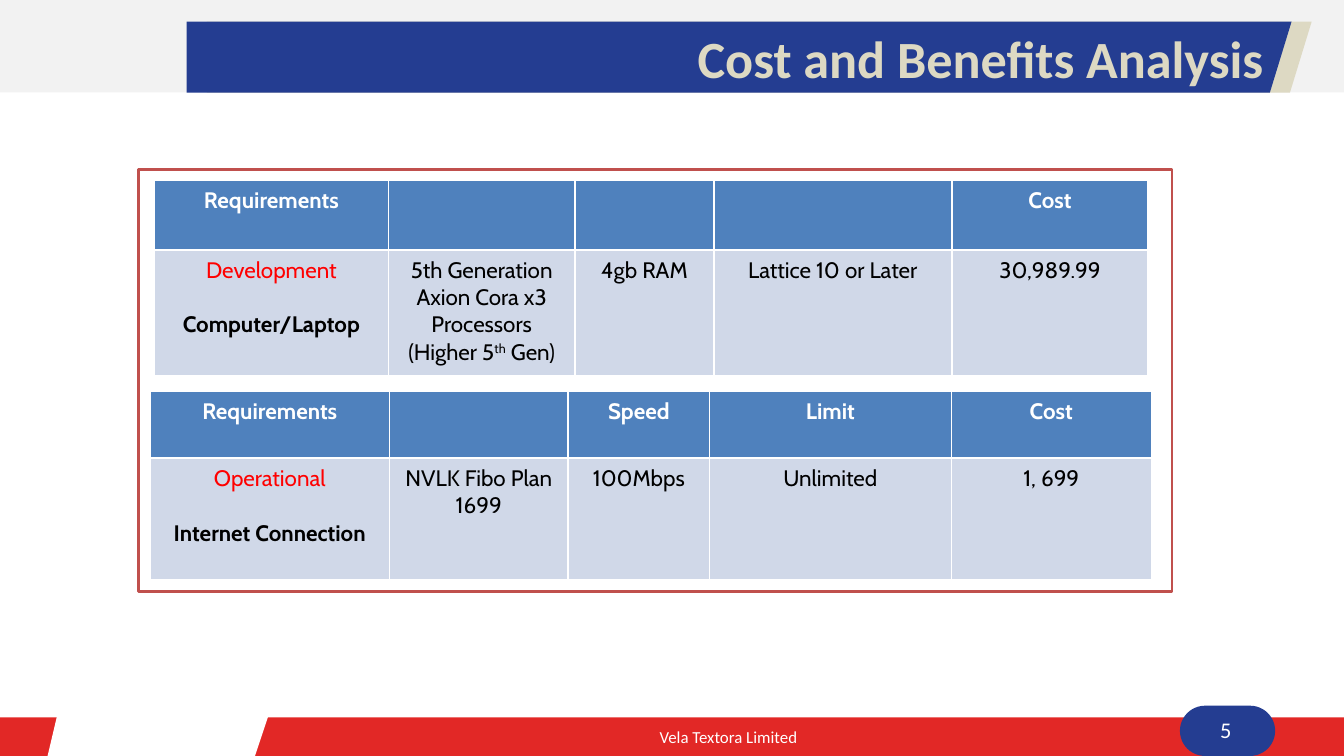
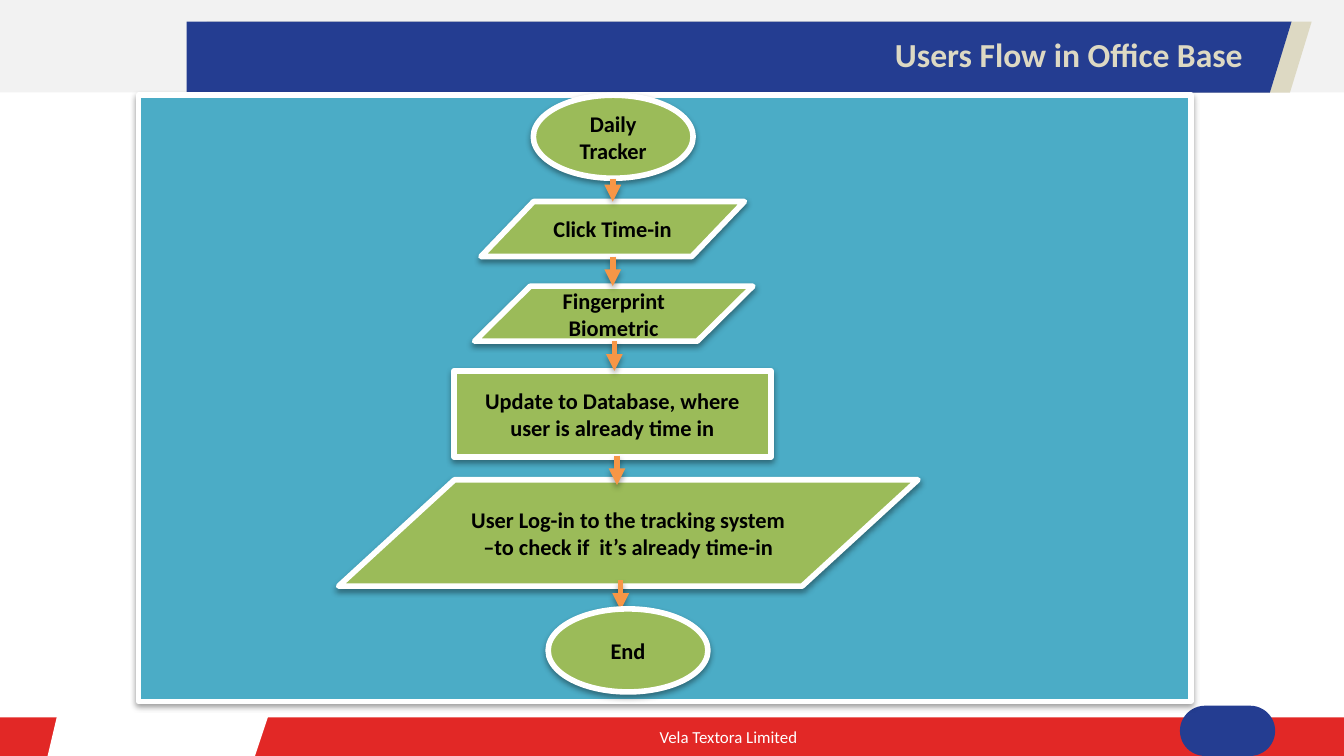
from dataclasses import dataclass

from lxml import etree
from pptx import Presentation
from pptx.dml.color import RGBColor
from pptx.enum.shapes import MSO_CONNECTOR, MSO_SHAPE
from pptx.enum.text import MSO_ANCHOR, MSO_AUTO_SIZE, PP_ALIGN
from pptx.oxml.ns import qn
from pptx.util import Cm, Pt

RECT, PILL = MSO_SHAPE.RECTANGLE, MSO_SHAPE.ROUNDED_RECTANGLE
OVAL, DATA = MSO_SHAPE.OVAL, MSO_SHAPE.FLOWCHART_DATA
STRAIGHT = MSO_CONNECTOR.STRAIGHT
LEFT, CENTER = PP_ALIGN.LEFT, PP_ALIGN.CENTER
TOP, MIDDLE = MSO_ANCHOR.TOP, MSO_ANCHOR.MIDDLE
NO_FIT = MSO_AUTO_SIZE.NONE
TITLE_ONLY = 5
SLIDE_WIDTH, SLIDE_HEIGHT = 25.4, 14.29


@dataclass(frozen=True)
class Theme:
    font: str = "Calibri"
    table_font: str = "Cabin"
    white: str = "FFFFFF"
    black: str = "000000"
    grey: str = "F2F2F2"
    beige: str = "DDD9C3"
    navy: str = "243D91"
    red: str = "E22826"
    frame_red: str = "C0504D"
    highlight: str = "FF0000"
    header_blue: str = "4F81BD"
    row_blue: str = "D0D8E8"
    teal: str = "4BACC6"
    green: str = "9BBB59"
    orange: str = "F79646"
    footer_size: float = 9
    body_size: float = 12
    subtitle_size: float = 18
    title_size: float = 28


THEME = Theme()


# Text
def write_text(frame, text, *, size=THEME.body_size, color=THEME.black, bold=False,
               font=THEME.font, align=CENTER, gap=0, new=False):
    """Write one paragraph; parts between ^ marks are superscript."""
    paragraph = frame.add_paragraph() if new else frame.paragraphs[0]
    paragraph.alignment = align
    paragraph.space_before = Pt(gap)
    for index, part in enumerate(text.split("^")):
        run = paragraph.add_run()
        run.text = part
        run.font.size, run.font.bold, run.font.name = Pt(size), bold, font
        run.font.color.rgb = RGBColor.from_string(color)
        if index % 2:
            run.font._element.set("baseline", "30000")


def add_label(slide, text, box, **text_format):
    label = slide.shapes.add_textbox(*map(Cm, box))
    label.text_frame.word_wrap = True
    write_text(label.text_frame, text, **text_format)


def set_title(slide, text, box, size):
    title = slide.shapes.title
    title.left, title.top, title.width, title.height = map(Cm, box)
    frame = title.text_frame
    frame.auto_size, frame.vertical_anchor, frame.word_wrap = NO_FIT, TOP, False
    write_text(frame, text, size=size, color=THEME.beige, bold=True, align=LEFT)


# Shapes
def paint(shape, fill, line=None, line_width=3):
    shape.shadow.inherit = False
    shape.fill.solid()
    shape.fill.fore_color.rgb = RGBColor.from_string(fill)
    if line:
        shape.line.color.rgb = RGBColor.from_string(line)
        shape.line.width = Pt(line_width)
    else:
        shape.line.fill.background()


def add_block(slide, kind, box, fill, line=None, line_width=3):
    block = slide.shapes.add_shape(kind, *map(Cm, box))
    paint(block, fill, line, line_width)
    return block


def add_outline(slide, points, fill):
    corners = [(Cm(x), Cm(y)) for x, y in points]
    builder = slide.shapes.build_freeform(*corners[0])
    builder.add_line_segments(corners[1:], close=True)
    paint(builder.convert_to_shape(), fill)


def drop_shadow(element, distance, opacity):
    properties = element.spPr
    effects = properties.find(qn("a:effectLst"))
    if effects is None:
        effects = etree.SubElement(properties, qn("a:effectLst"))
    shadow = etree.SubElement(effects, qn("a:outerShdw"), blurRad="40000",
                              dist=str(distance), dir="5400000", rotWithShape="0")
    color = etree.SubElement(shadow, qn("a:srgbClr"), val=THEME.black)
    etree.SubElement(color, qn("a:alpha"), val=str(opacity * 1000))


def add_raised(slide, kind, box, fill):
    block = add_block(slide, kind, box, fill, THEME.white)
    drop_shadow(block._element, 20000, 38)
    return block


def add_step(slide, text, kind, *box):
    step = add_raised(slide, kind, box, THEME.green)
    step.text_frame.word_wrap = True
    step.text_frame.vertical_anchor = MIDDLE
    write_text(step.text_frame, text, bold=True)


def add_down_arrow(slide, x, top, length):
    arrow = slide.shapes.add_connector(STRAIGHT, Cm(x), Cm(top), Cm(x), Cm(top + length))
    arrow.line.color.rgb = RGBColor.from_string(THEME.orange)
    arrow.line.width = Pt(3)
    etree.SubElement(arrow.line._get_or_add_ln(), qn("a:tailEnd"), type="triangle")
    drop_shadow(arrow._element, 23000, 35)


# Tables
def add_cost_table(slide, left, top, widths, heights, headers, need, details):
    """Header row, then one row whose first cell holds a (phase, item) pair."""
    table = slide.shapes.add_table(2, len(widths), Cm(left), Cm(top),
                                   Cm(sum(widths)), Cm(sum(heights))).table
    table.horz_banding = False
    for row, height in zip(table.rows, heights):
        row.height = Cm(height)
    for index, width in enumerate(widths):
        table.columns[index].width = Cm(width)
        for row, fill in enumerate((THEME.header_blue, THEME.row_blue)):
            cell = table.cell(row, index)
            cell.fill.solid()
            cell.fill.fore_color.rgb = RGBColor.from_string(fill)
        if headers[index]:
            write_text(table.cell(0, index).text_frame, headers[index],
                       color=THEME.white, bold=True, font=THEME.table_font)

    phase, item = need
    need_frame = table.cell(1, 0).text_frame
    write_text(need_frame, phase, color=THEME.highlight, font=THEME.table_font)
    write_text(need_frame, item, bold=True, font=THEME.table_font, gap=14.6, new=True)
    for index, lines in enumerate(details, start=1):
        for number, line in enumerate(lines.split("\n")):
            write_text(table.cell(1, index).text_frame, line,
                       font=THEME.table_font, new=number > 0)


# Shared header and footer, held by the layout
def build_layout_frame(slide):
    add_block(slide, RECT, (0, 0, SLIDE_WIDTH, 1.75), THEME.grey)
    for left, fill in ((3.91, THEME.beige), (3.53, THEME.navy)):
        add_outline(slide, [(left, 0.41), (left + 20.88, 0.41),
                            (left + 20.47, 1.75), (left, 1.75)], fill)
    add_block(slide, RECT, (0, 13.56, SLIDE_WIDTH, 0.73), THEME.red)
    number_pill = add_block(slide, PILL, (22.3, 13.34, 1.8, 0.95), THEME.navy)
    number_pill.adjustments[0] = 0.5
    add_outline(slide, [(1.12, 13.36), (5.13, 13.36), (4.82, 14.29), (0.9, 14.29)],
                THEME.white)
    add_label(slide, "Vela Textora Limited", (5.51, 13.61, 16.51, 0.64),
              size=THEME.footer_size, color=THEME.white)
    layout_tree = slide.slide_layout.shapes._spTree
    for part in list(slide.shapes):
        if not part.is_placeholder:
            layout_tree.insert_element_before(part._element, "p:extLst")


def build_cost_slide(slide):
    set_title(slide, "Cost and Benefits Analysis", (12.93, 0.36, 12.19, 1.45),
              THEME.title_size)
    add_block(slide, RECT, (2.62, 3.2, 19.53, 7.98), THEME.white, THEME.frame_red, 1.5)
    add_cost_table(
        slide, 2.92, 3.4, (4.42, 3.53, 2.62, 4.5, 3.71), (1.32, 2.39),
        ("Requirements", "", "", "", "Cost"),
        ("Development", "Computer/Laptop"),
        ("5th Generation Axion Cora x3 Processors\n(Higher 5^th^ Gen)",
         "4gb RAM", "Lattice 10 or Later", "30,989.99"))
    add_cost_table(
        slide, 2.84, 7.39, (4.52, 3.38, 2.67, 4.57, 3.78), (1.27, 2.29),
        ("Requirements", "", "Speed", "Limit", "Cost"),
        ("Operational", "Internet Connection"),
        ("NVLK Fibo Plan 1699", "100Mbps", "Unlimited", "1, 699"))
    add_label(slide, "5", (22.43, 13.41, 1.47, 0.76), color=THEME.white)


def build_flow_slide(slide):
    set_title(slide, "Users Flow in Office Base", (16.66, 0.51, 7.19, 1.02),
              THEME.subtitle_size)
    add_raised(slide, RECT, (2.62, 1.8, 19.89, 11.46), THEME.teal)
    steps = (
        ("Daily Tracker", OVAL, 10.08, 1.8, 3.02, 1.57),
        ("Click Time-in", DATA, 9.09, 3.81, 4.98, 1.04),
        ("Fingerprint Biometric", DATA, 8.97, 5.41, 5.26, 1.04),
        ("Update to Database, where user is already time in", RECT,
         8.58, 7.01, 5.99, 1.63),
        ("User Log-in to the tracking system –to check if  it’s already time-in", DATA,
         6.4, 9.07, 10.95, 2.01),
    )
    for step in steps:
        add_step(slide, *step)
    # Arrows: x, top, length
    for arrow in ((11.58, 3.38, 0.43), (11.58, 4.85, 0.56), (11.61, 6.45, 0.56),
                  (11.66, 8.61, 0.56), (11.73, 10.97, 0.56)):
        add_down_arrow(slide, *arrow)
    add_step(slide, "End", OVAL, 10.36, 11.51, 3.02, 1.57)


def main():
    deck = Presentation()
    deck.slide_width, deck.slide_height = Cm(SLIDE_WIDTH), Cm(SLIDE_HEIGHT)
    layout = deck.slide_layouts[TITLE_ONLY]
    cost_slide, flow_slide = (deck.slides.add_slide(layout) for _ in range(2))
    build_layout_frame(cost_slide)
    build_cost_slide(cost_slide)
    build_flow_slide(flow_slide)
    deck.save("out.pptx")


if __name__ == "__main__":
    main()
